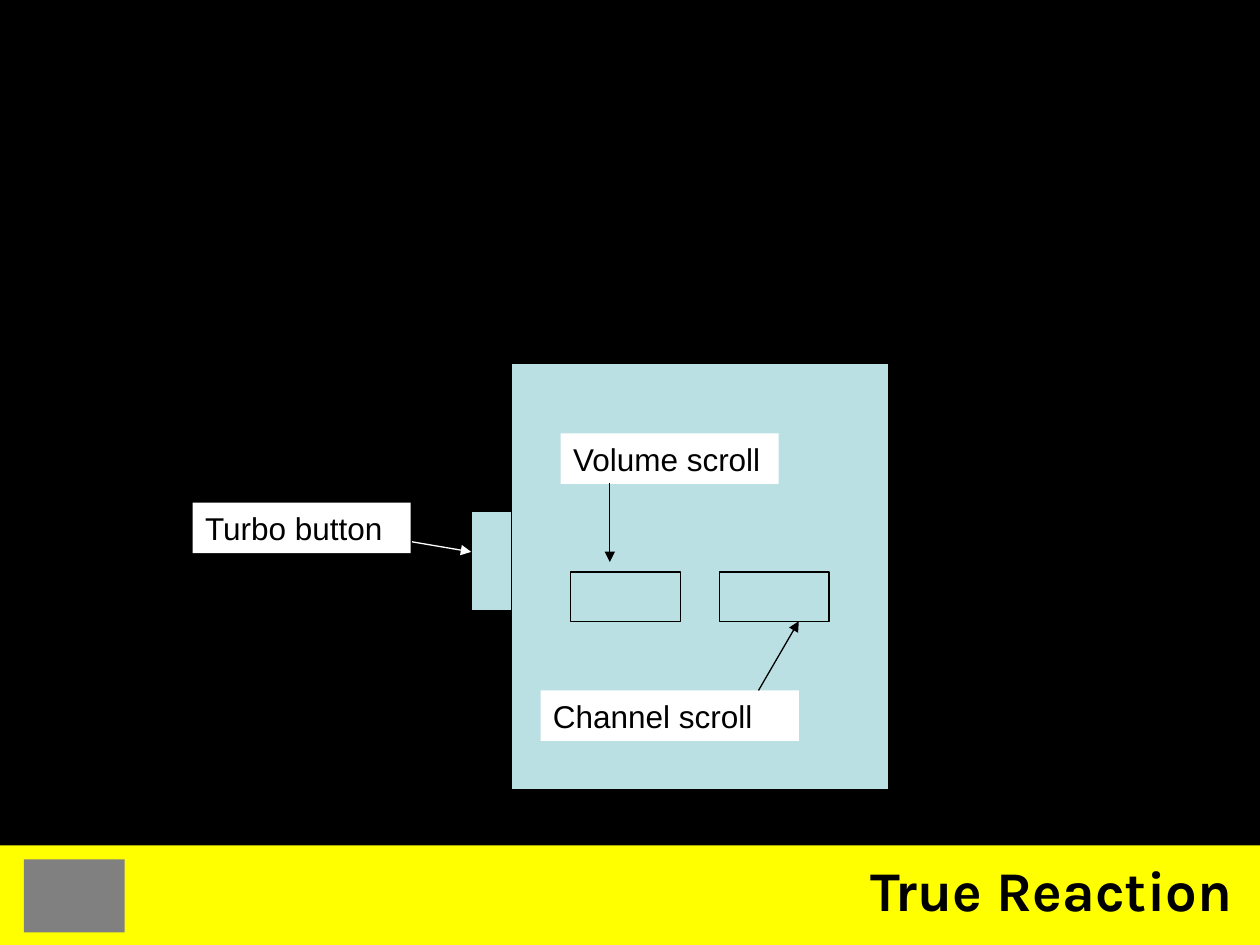
from pptx import Presentation
from pptx.dml.color import RGBColor
from pptx.enum.shapes import MSO_CONNECTOR as Conn, MSO_SHAPE as Shape
from pptx.enum.text import PP_ALIGN as Align
from pptx.oxml.ns import qn
from pptx.util import Inches, Pt
from lxml.etree import SubElement

COLORS = {"black": "000000", "white": "FFFFFF", "yellow": "FFFF00",
          "blue": "BBE0E3", "gray": "808080"}


def rgb(name):
    return RGBColor.from_string(COLORS[name])


def add_box(slide, area, fill, line=None):
    """Add a flat rectangle, outlined only when a line colour is given."""
    box = slide.shapes.add_shape(Shape.RECTANGLE, *map(Inches, area))
    box.shadow.inherit = False
    box.fill.solid()
    box.fill.fore_color.rgb = rgb(fill)
    if line:
        box.line.color.rgb = rgb(line)
        box.line.width = Pt(0.75)
    else:
        box.line.fill.background()
    return box


prs = Presentation()
prs.slide_width, prs.slide_height = Inches(10), Inches(7.5)
slide = prs.slides.add_slide(prs.slide_layouts[6])
slide.background.fill.solid()
slide.background.fill.fore_color.rgb = rgb("black")

# Footer band with a plain emblem and the team name
add_box(slide, (0, 6.71, 10, 0.79), "yellow")
add_box(slide, (0.19, 6.82, 0.8, 0.58), "gray")
name = slide.shapes.add_textbox(Inches(5), Inches(6.74), Inches(4.88), Inches(0.64))
name.text_frame.word_wrap = True
para = name.text_frame.paragraphs[0]
para.text = "True Reaction"
para.alignment = Align.RIGHT
font = para.runs[0].font
font.name, font.size, font.bold = "Karla", Pt(32), True
font.color.rgb = rgb("black")

# Device body, side button and the two scroll wheels
parts = [(4.06, 2.88, 2.99, 3.39), (3.74, 4.06, 0.32, 0.79),
         (4.53, 4.54, 0.87, 0.39), (5.71, 4.54, 0.87, 0.39)]
for area in parts:
    add_box(slide, area, "blue", "black")

# Labels, each with an arrow to its part
labels = [
    ("Turbo button", (1.53, 3.99, 1.73), (3.27, 4.3, 3.74, 4.38), "white"),
    ("Volume scroll", (4.45, 3.44, 1.73), (4.84, 3.83, 4.84, 4.46), "black"),
    ("Channel scroll", (4.29, 5.48, 2.05), (6.02, 5.48, 6.34, 4.93), "black"),
]
for text, area, ends, color in labels:
    label = add_box(slide, (*area, 0.4), "white")
    label.text_frame.word_wrap = True
    para = label.text_frame.paragraphs[0]
    para.text = text
    para.alignment = Align.LEFT
    font = para.runs[0].font
    font.name, font.size = "Arial", Pt(18)
    font.color.rgb = rgb("black")

    arrow = slide.shapes.add_connector(Conn.STRAIGHT, *map(Inches, ends))
    arrow.line.color.rgb = rgb(color)
    arrow.line.width = Pt(0.75)
    SubElement(arrow.line._get_or_add_ln(), qn("a:tailEnd"), type="triangle")
    SubElement(arrow._element.spPr, qn("a:effectLst"))

prs.save("out.pptx")
